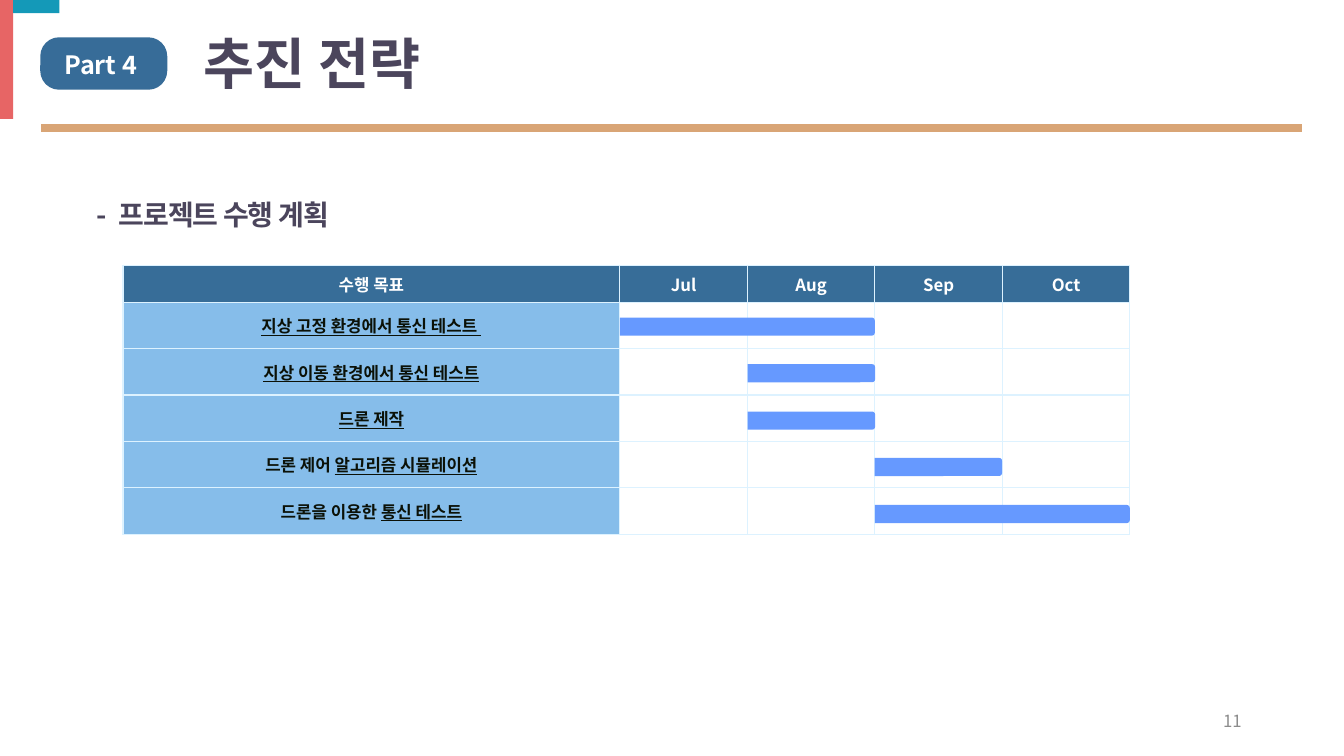
from lxml import etree
from pptx import Presentation
from pptx.dml.color import RGBColor
from pptx.enum.shapes import MSO_CONNECTOR, MSO_SHAPE
from pptx.enum.text import MSO_ANCHOR, PP_ALIGN
from pptx.oxml.ns import qn
from pptx.util import Pt

RECT = MSO_SHAPE.RECTANGLE
ROUND = MSO_SHAPE.ROUNDED_RECTANGLE
ROUND_TOP = MSO_SHAPE.ROUND_2_SAME_RECTANGLE
STRAIGHT = MSO_CONNECTOR.STRAIGHT
MIDDLE, TOP = MSO_ANCHOR.MIDDLE, MSO_ANCHOR.TOP
LEFT, CENTER, RIGHT = PP_ALIGN.LEFT, PP_ALIGN.CENTER, PP_ALIGN.RIGHT

NAVY = RGBColor(0x37, 0x6C, 0x98)
HEADER_BLUE = RGBColor(0x37, 0x6D, 0x98)
GOAL_BLUE = RGBColor(0x86, 0xBD, 0xEA)
BAR_BLUE = RGBColor(0x66, 0x99, 0xFF)
GRID = RGBColor(0xDD, 0xF2, 0xFF)
CORAL = RGBColor(0xE7, 0x65, 0x65)
TEAL = RGBColor(0x14, 0x99, 0xB8)
TAN = RGBColor(0xD9, 0xA5, 0x76)
PLUM = RGBColor(0x4B, 0x45, 0x5C)
INK = RGBColor(0x0B, 0x11, 0x07)
GRAY = RGBColor(0x8C, 0x8C, 0x8C)
WHITE = RGBColor(0xFF, 0xFF, 0xFF)

NOTO, ARIAL = "Noto Sans CJK KR", "Arial"
PX = 4572  # 200 px to the inch

# Schedule geometry
TABLE_X, TABLE_Y = 244, 526
GOAL_W, MONTH_W = 986, 253
HEAD_H, ROW_H = 74, 92
BAR_H, BAR_Y, BAR_STEP = 36, 648, 93

HEADERS = ["수행 목표", "Jul", "Aug", "Sep", "Oct"]
# Font, runs as (text, underlined), first month, months
GOALS = [
    (NOTO, [("지상 고정 환경에서 통신 테스트 ", True)], 0, 2),
    (ARIAL, [("지상 이동 환경에서 통신 테스트", True)], 1, 1),
    (NOTO, [("드론 제작", True)], 1, 1),
    (ARIAL, [("드론 제어 ", False), ("알고리즘 시뮬레이션", True)], 2, 1),
    (ARIAL, [("드론을 이용한 ", False), ("통신 테스트", True)], 2, 2),
]


def box(x, y, w, h):
    return [v * PX for v in (x, y, w, h)]


def add_run(p, text, size, color, bold=False, font=NOTO, underline=None, spacing=None):
    r = p.add_run()
    r.text = text
    r.font.size, r.font.bold, r.font.name = Pt(size), bold, font
    r.font.color.rgb = color
    r.font.underline = underline
    rPr = r.font._element
    etree.SubElement(rPr, qn("a:ea")).set("typeface", NOTO)
    if spacing is not None:
        rPr.set("spc", str(round(spacing * 100)))


def add_block(s, kind, x, y, w, h, color, rotation=0):
    sp = s.shapes.add_shape(kind, *box(x, y, w, h))
    sp.shadow.inherit = False
    sp.fill.solid()
    sp.fill.fore_color.rgb = color
    sp.line.fill.background()
    sp.rotation = rotation
    return sp


def add_text(s, x, y, w, h, align=LEFT, anchor=TOP):
    tf = s.shapes.add_textbox(*box(x, y, w, h)).text_frame
    tf.word_wrap = True
    tf.vertical_anchor = anchor
    p = tf.paragraphs[0]
    p.alignment = align
    return p


def add_rule(s, x1, x2, y, color, width):
    line = s.shapes.add_connector(STRAIGHT, x1 * PX, y * PX, x2 * PX, y * PX)
    line.line.color.rgb = color
    line.line.width = Pt(width)
    etree.SubElement(line._element.spPr, qn("a:effectLst"))


def style_cell(cell, fill=None):
    tcPr = cell._tc.get_or_add_tcPr()
    for side in ("a:lnL", "a:lnR", "a:lnT", "a:lnB"):
        ln = etree.SubElement(tcPr, qn(side), w=str(Pt(1)))
        solid = etree.SubElement(ln, qn("a:solidFill"))
        etree.SubElement(solid, qn("a:srgbClr"), val=str(GRID))
    if fill is None:
        cell.fill.background()
    else:
        cell.fill.solid()
        cell.fill.fore_color.rgb = fill
    cell.vertical_anchor = MIDDLE
    p = cell.text_frame.paragraphs[0]
    p.alignment = CENTER
    return p


def add_schedule(s):
    rows, cols = len(GOALS) + 1, len(HEADERS)
    width = GOAL_W + MONTH_W * (cols - 1)
    height = HEAD_H + ROW_H * len(GOALS)
    table = s.shapes.add_table(rows, cols, *box(TABLE_X, TABLE_Y, width, height)).table
    for i, col in enumerate(table.columns):
        col.width = (MONTH_W if i else GOAL_W) * PX
    for i, row in enumerate(table.rows):
        row.height = (ROW_H if i else HEAD_H) * PX

    for i, header in enumerate(HEADERS):
        add_run(style_cell(table.cell(0, i), HEADER_BLUE), header, 12, WHITE, True)
    for i, (font, runs, _, _) in enumerate(GOALS, 1):
        p = style_cell(table.cell(i, 0), GOAL_BLUE)
        for text, underline in runs:
            add_run(p, text, 12, INK, True, font, underline)
        for j in range(1, cols):
            style_cell(table.cell(i, j))


def add_bars(s):
    # Upright bars turned by 90 degrees, so the rounded end points right
    for i, (_, _, start, months) in enumerate(GOALS):
        length = months * MONTH_W
        cx = TABLE_X + GOAL_W + start * MONTH_W + length / 2
        cy = BAR_Y + i * BAR_STEP
        x, y = round(cx - BAR_H / 2), round(cy - length / 2)
        add_block(s, ROUND_TOP, x, y, BAR_H, length, BAR_BLUE, 90)


def main():
    prs = Presentation()
    prs.slide_width, prs.slide_height = 2667 * PX, 1500 * PX
    s = prs.slides.add_slide(prs.slide_layouts[5])

    # Corner marks, badge and rule
    badge = add_block(s, ROUND, 80, 74, 252, 104, NAVY)
    badge.adjustments[0] = 0.36
    add_block(s, RECT, 0, 0, 26, 236, CORAL)
    add_block(s, RECT, 26, 0, 92, 26, TEAL)
    add_rule(s, 82, 2584, 254, TAN, 6)
    add_run(add_text(s, 108, 88, 220, 80), "Part 4", 18, WHITE, True)

    # Title
    title = s.shapes.title
    title.left, title.top, title.width, title.height = box(384, 80, 2100, 104)
    title.text_frame.vertical_anchor = MIDDLE
    p = title.text_frame.paragraphs[0]
    p.alignment = LEFT
    p.line_spacing = 0.9
    add_run(p, "추진 전략", 39.6, PLUM, True)

    # Heading
    p = add_text(s, 144, 344, 618, 112)
    p.line_spacing = 1.58
    p._p.get_or_add_pPr().set("indent", str(28 * PX))
    add_run(p, "- ", 20, PLUM, True, spacing=1.8)
    add_run(p, "프로젝트 수행 계획", 20, PLUM, True, spacing=-0.7)

    # Schedule
    add_schedule(s)
    add_bars(s)

    # Page number
    add_run(add_text(s, 1884, 1390, 600, 80, RIGHT, MIDDLE), "11", 12, GRAY)

    prs.save("out.pptx")


if __name__ == "__main__":
    main()
